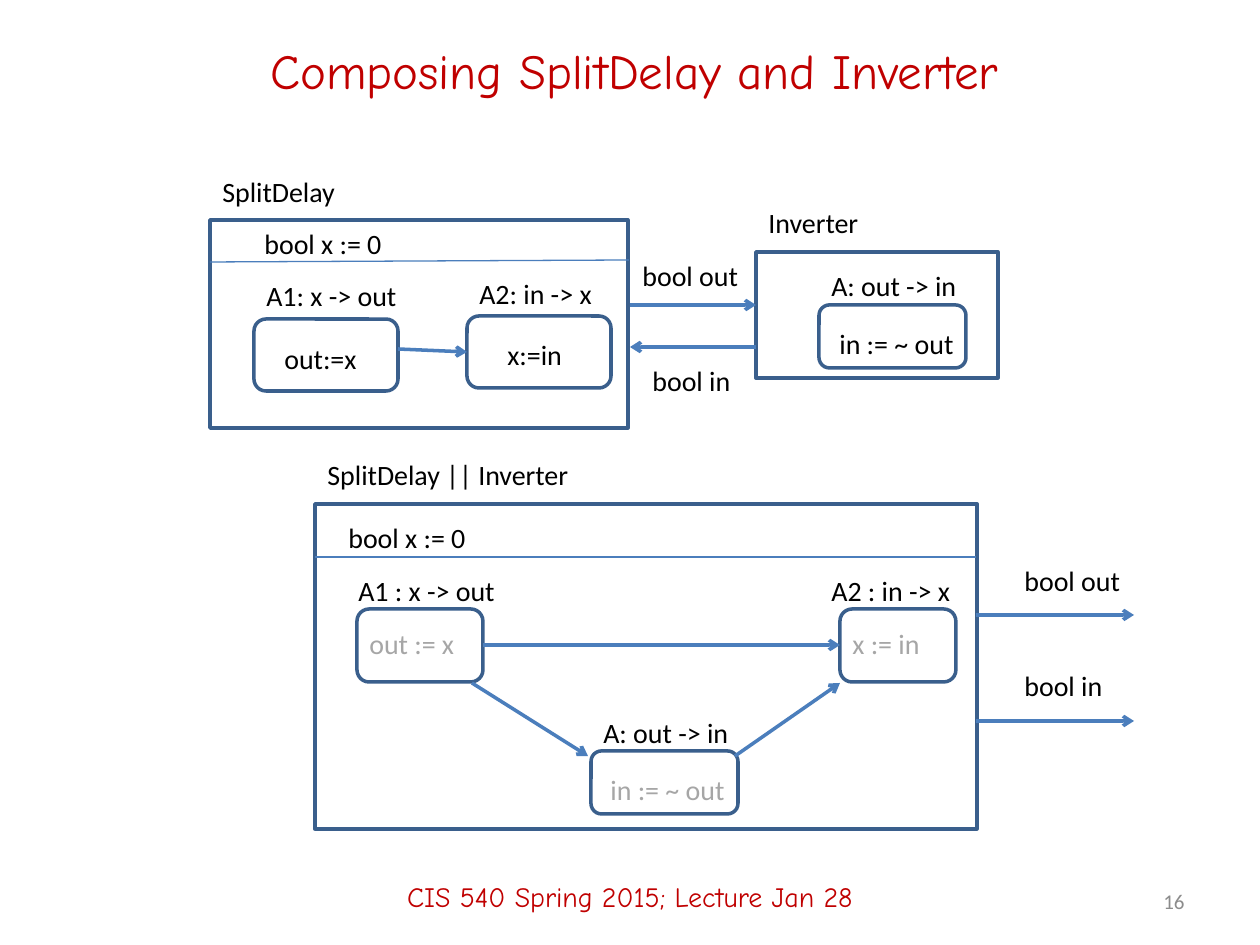
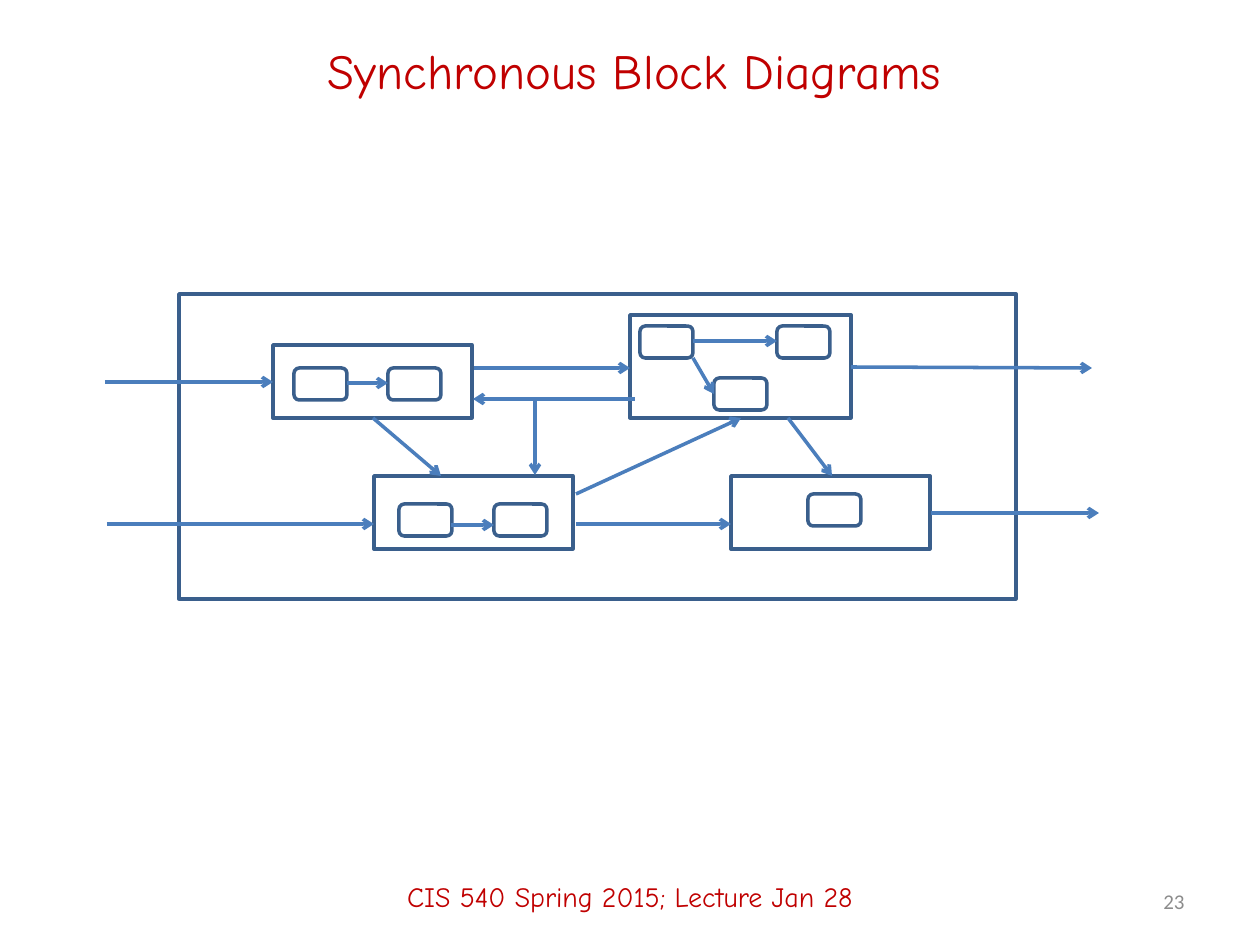
"""Build two slides of block diagrams for synchronous components."""
from typing import NamedTuple

import pptx
import pptx.dml.color
import pptx.enum.dml
import pptx.enum.shapes
import pptx.enum.text
import pptx.oxml
import pptx.oxml.ns
import pptx.util
from pptx.presentation import Presentation
from pptx.slide import Slide
from pptx.text.text import TextFrame

EMU_PER_PX = 914400 / 126
SLIDE_WIDTH, SLIDE_HEIGHT = 1260, 945
TITLE_ONLY = 5
LABEL_HEIGHT = 47
BODY_FONT, ACCENT_FONT = "Calibri", "Comic Neue"
RED, BLACK, GREY, PALE = "C00000", "000000", "8C8C8C", "A6A6A6"
OUTLINE, FLOW = "3A5F8C", "4B7EBC"
FOOTER = "CIS 540 Spring 2015; Lecture Jan 28"
ALIGN = pptx.enum.text.PP_ALIGN
ANCHOR = pptx.enum.text.MSO_ANCHOR
SHAPE = pptx.enum.shapes.MSO_SHAPE


class Block(NamedTuple):
    left: int
    top: int
    width: int
    height: int
    rounded: bool = False


class Label(NamedTuple):
    text: str
    left: int
    top: int
    width: int
    colour: str = BLACK


class Line(NamedTuple):
    start_x: int
    start_y: int
    end_x: int
    end_y: int
    arrow: bool = True
    weight: float = 2


class Diagram(NamedTuple):
    title: str
    number: int
    blocks: list[Block]
    lines: list[Line]
    labels: list[Label]


def px(length: int) -> pptx.util.Emu:
    return pptx.util.Emu(round(length * EMU_PER_PX))


def rgb(colour: str) -> pptx.dml.color.RGBColor:
    return pptx.dml.color.RGBColor.from_string(colour)


def write(frame: TextFrame, text: str, *, size: int = 16, font: str = BODY_FONT,
          colour: str = BLACK, align: ALIGN = ALIGN.LEFT,
          anchor: ANCHOR = ANCHOR.TOP, wrap: bool = True) -> None:
    frame.word_wrap = wrap
    frame.vertical_anchor = anchor
    para = frame.paragraphs[0]
    para.alignment = align
    span = para.add_run()
    span.text = text
    span.font.size = pptx.util.Pt(size)
    span.font.name = font
    span.font.color.rgb = rgb(colour)


def draw_block(page: Slide, block: Block) -> None:
    kind = SHAPE.ROUNDED_RECTANGLE if block.rounded else SHAPE.RECTANGLE
    box = page.shapes.add_shape(kind, *map(px, block[:4]))
    box.shadow.inherit = False
    box.fill.background()
    box.line.color.rgb = rgb(OUTLINE)
    box.line.width = pptx.util.Pt(2)


def draw_line(page: Slide, line: Line) -> None:
    connector = page.shapes.add_connector(
        pptx.enum.shapes.MSO_CONNECTOR.STRAIGHT, *map(px, line[:4]))
    connector.line.color.rgb = rgb(FLOW)
    connector.line.width = pptx.util.Pt(line.weight)
    if line.arrow:
        tail = pptx.oxml.parse_xml(
            f'<a:tailEnd {pptx.oxml.ns.nsdecls("a")} type="arrow"/>')
        connector.line._get_or_add_ln().append(tail)
    properties = connector._element.spPr
    properties.append(pptx.oxml.parse_xml(f'<a:effectLst {pptx.oxml.ns.nsdecls("a")}/>'))


def draw_label(page: Slide, label: Label) -> None:
    box = page.shapes.add_textbox(
        *map(px, (label.left, label.top, label.width, LABEL_HEIGHT)))
    write(box.text_frame, label.text, colour=label.colour, wrap=False)
    box.text_frame.auto_size = pptx.enum.text.MSO_AUTO_SIZE.SHAPE_TO_FIT_TEXT


def draw_frame(page: Slide, title: str, number: int) -> None:
    heading = page.shapes.title
    heading.left, heading.top, heading.width, heading.height = map(px, (94, 21, 1081, 98))
    write(heading.text_frame, title, size=28, font=ACCENT_FONT, colour=RED,
          align=ALIGN.CENTER, anchor=ANCHOR.MIDDLE)
    footer = page.shapes.add_textbox(*map(px, (0, 847, SLIDE_WIDTH, 98)))
    write(footer.text_frame, FOOTER, font=ACCENT_FONT, colour=RED,
          align=ALIGN.CENTER, anchor=ANCHOR.MIDDLE)
    corner = page.shapes.add_textbox(*map(px, (903, 876, 294, 50)))
    write(corner.text_frame, str(number), size=12, colour=GREY,
          align=ALIGN.RIGHT, anchor=ANCHOR.MIDDLE)


def draw_diagram(deck: Presentation, diagram: Diagram) -> None:
    page = deck.slides.add_slide(deck.slide_layouts[TITLE_ONLY])
    draw_frame(page, diagram.title, diagram.number)
    for block in diagram.blocks:
        draw_block(page, block)
    for line in diagram.lines:
        draw_line(page, line)
    for label in diagram.labels:
        draw_label(page, label)


COMPOSITION = Diagram(
    "Composing SplitDelay and Inverter", 16,
    blocks=[
        Block(210, 220, 418, 208),
        Block(756, 252, 242, 126),
        Block(254, 319, 144, 72, rounded=True),
        Block(467, 316, 144, 72, rounded=True),
        Block(819, 305, 147, 63, rounded=True),
        Block(315, 504, 662, 325),
        Block(357, 609, 126, 73, rounded=True),
        Block(840, 609, 116, 73, rounded=True),
        Block(591, 751, 147, 63, rounded=True),
    ],
    lines=[
        Line(210, 262, 629, 260, arrow=False, weight=0.75),
        Line(398, 349, 467, 352),
        Line(630, 305, 756, 305),
        Line(756, 347, 630, 347),
        Line(315, 557, 976, 557, arrow=False, weight=0.75),
        Line(483, 645, 840, 645),
        Line(472, 683, 588, 756),
        Line(735, 756, 840, 683),
        Line(976, 615, 1134, 615),
        Line(976, 721, 1134, 721),
    ],
    labels=[
        Label("SplitDelay", 210, 168, 140),
        Label("bool x := 0", 252, 220, 144),
        Label("A1: x -> out", 254, 272, 158),
        Label("out:=x", 272, 335, 105),
        Label("A2: in -> x", 467, 270, 139),
        Label("x:=in", 495, 331, 87),
        Label("bool out", 630, 252, 122),
        Label("bool in", 640, 357, 105),
        Label("Inverter", 756, 199, 117),
        Label("A: out -> in", 819, 262, 151),
        Label("in := ~ out", 827, 320, 147),
        Label("SplitDelay || Inverter", 315, 451, 270),
        Label("bool x := 0", 336, 514, 144),
        Label("A1 : x -> out", 346, 567, 164),
        Label("out := x", 357, 620, 111, PALE),
        Label("A2 : in -> x", 819, 567, 145),
        Label("x := in", 840, 620, 93, PALE),
        Label("A: out -> in", 591, 709, 151),
        Label("in := ~ out", 598, 766, 147, PALE),
        Label("bool out", 1012, 557, 122),
        Label("bool in", 1012, 662, 105),
    ],
)

COMPONENTS = [(273, 345), (374, 476), (731, 476)]
TASKS = [(294, 368), (388, 368), (399, 504), (494, 504),
         (640, 326), (777, 326), (714, 378), (808, 494)]

BLOCK_DIAGRAM = Diagram(
    "Synchronous Block Diagrams", 23,
    blocks=[
        Block(179, 294, 837, 305),
        Block(630, 315, 221, 103),
        *(Block(left, top, 199, 73) for left, top in COMPONENTS),
        *(Block(left, top, 53, 32, rounded=True) for left, top in TASKS),
    ],
    lines=[
        Line(105, 382, 273, 382),
        Line(107, 524, 374, 524),
        Line(474, 368, 630, 368),
        Line(635, 399, 473, 399),
        Line(535, 399, 535, 475),
        Line(373, 418, 441, 476),
        Line(576, 494, 741, 418),
        Line(576, 524, 731, 524),
        Line(788, 418, 832, 476),
        Line(851, 367, 1092, 368),
        Line(931, 513, 1099, 513),
        Line(347, 383, 388, 383),
        Line(451, 525, 494, 525),
        Line(693, 341, 777, 341),
        Line(693, 358, 714, 394),
    ],
    labels=[],
)


def main() -> None:
    deck = pptx.Presentation()
    deck.slide_width, deck.slide_height = px(SLIDE_WIDTH), px(SLIDE_HEIGHT)
    for diagram in (COMPOSITION, BLOCK_DIAGRAM):
        draw_diagram(deck, diagram)
    deck.save("out.pptx")


if __name__ == "__main__":
    main()
